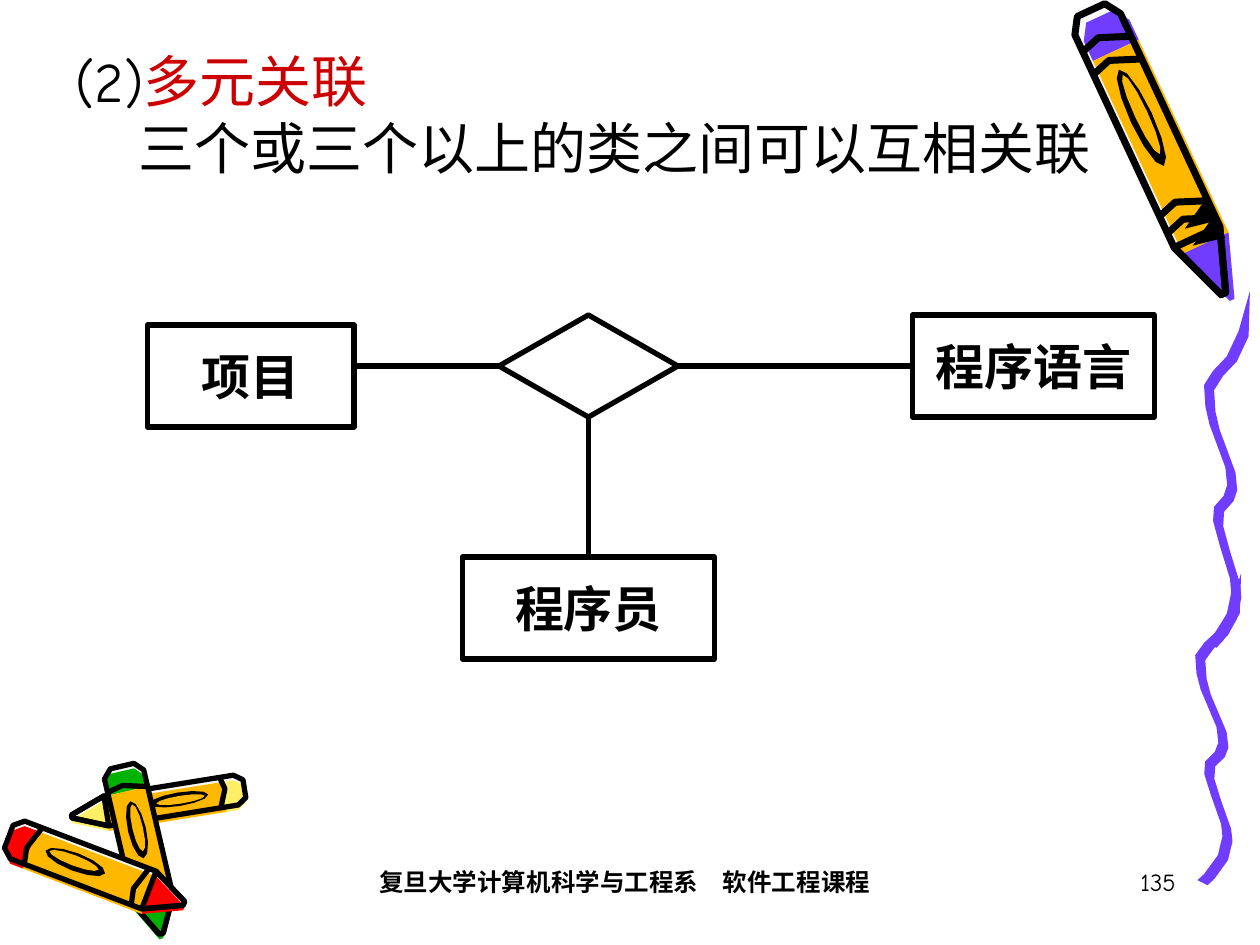
from dataclasses import dataclass
from math import cos, hypot, pi, sin
from typing import NamedTuple

from lxml.etree import SubElement
from pptx import Presentation
from pptx.dml.color import RGBColor
from pptx.enum.shapes import MSO_CONNECTOR as Connector, MSO_SHAPE as Shape
from pptx.enum.text import MSO_ANCHOR as Anchor, PP_ALIGN as Align
from pptx.oxml.ns import qn
from pptx.util import Cm, Pt

COLORS = {
    "black": "000000", "title": "CC0000", "purple": "703DFF", "amber": "FFB800",
    "paper": "F8F8F8", "lemon": "FFEF66", "red": "FF0000", "green": "00B200",
}
TOP, LEFT, BOTTOM, RIGHT = range(4)

# Crayon proportions: along runs from tail (0) to tip (1), across from -1 to 1
CAP_END, SHOULDER = 0.12, 0.8
TAIL = [(0.05, 1), (0, 0.6), (0, -0.6), (0.05, -1)]
CONE = [(SHOULDER, -1), (1, -0.1), (1, 0.1), (SHOULDER, 1)]
CAP = TAIL + [(CAP_END, -1), (CAP_END, 1)]
BARREL = [(CAP_END, 1), (CAP_END, -1), (SHOULDER, -1), (SHOULDER, 1)]

# Centre of a hanging scribble, as fractions of its width and height
SCRIBBLE_CENTER = [
    (0.86, 0.12), (0.6, 0.19), (0.3, 0.23), (0.1, 0.27), (0.13, 0.33), (0.22, 0.38),
    (0.57, 0.5), (0.61, 0.55), (0.53, 0.58), (0.32, 0.61), (0.3, 0.65), (0.45, 0.72),
    (0.67, 0.81), (0.7, 0.85), (0.6, 0.91), (0.3, 0.97), (0.15, 0.99),
]
NIB = (0.04, 0.02)  # half of the slanted pen nib, in inches


class Point(NamedTuple):
    x: float
    y: float


class Span(NamedTuple):
    text: str
    color: str = "black"


@dataclass
class Crayon:
    tail: Point
    tip: Point
    half_width: float
    color: str
    bands: tuple = (0.13, 0.74)
    wedges: tuple = ()
    shift: Point = Point(0, 0.04)  # colour is printed beside the ink
    ink: float = 3

    def place(self, outline: list, shift: Point = Point(0, 0)) -> list[Point]:
        """Turn (along, across) pairs into positions on the page."""
        run, rise = self.tip.x - self.tail.x, self.tip.y - self.tail.y
        side = self.half_width / hypot(run, rise)
        return [Point(self.tail.x + along * run + across * side * rise + shift.x,
                      self.tail.y + along * rise - across * side * run + shift.y)
                for along, across in outline]


@dataclass
class Scribble:
    left: float
    top: float
    width: float
    height: float


@dataclass
class Node:
    kind: Shape
    left: float
    top: float
    width: float
    height: float = 0.81
    label: str = ""


CRAYONS = [
    Crayon(Point(1.94, 6.26), Point(0.57, 6.48), 0.12, "lemon"),
    Crayon(Point(0.97, 6.08), Point(1.28, 7.41), 0.16, "green"),
    Crayon(Point(0.07, 6.64), Point(1.46, 7.17), 0.16, "red"),
    Crayon(Point(8.66, 0.08), Point(9.71, 2.33), 0.2, "purple", bands=(0.11, 0.19, 0.69, 0.75),
           wedges=(0.7, 0.76), shift=Point(0.07, 0.05), ink=4),
]
SCRIBBLES = [Scribble(9.49, 4.55, 0.36, 2.48), Scribble(9.56, 2.31, 0.36, 2.84)]


def inch(value: float) -> Cm:
    return Cm(value * 2.54)


def rgb(name: str) -> RGBColor:
    return RGBColor.from_string(COLORS[name])


def ink_line(line, width: float) -> None:
    line.color.rgb = rgb("black")
    line.width = Pt(width)


def draw_outline(shapes, points: list[Point], fill: str = "", ink: float = 0, closed: bool = True):
    corners = [(inch(x), inch(y)) for x, y in points]
    builder = shapes.build_freeform(*corners[0])
    builder.add_line_segments(corners[1:], close=closed)
    outline = builder.convert_to_shape()
    outline.shadow.inherit = False
    if fill:
        outline.fill.solid()
        outline.fill.fore_color.rgb = rgb(fill)
    else:
        outline.fill.background()
    if ink:
        ink_line(outline.line, ink)
    else:
        outline.line.fill.background()


def ellipse(along: float, across: float, half_length: float, half_width: float) -> list:
    angles = [step * pi / 6 for step in range(12)]
    return [(along + half_length * cos(a), across + half_width * sin(a)) for a in angles]


def draw_crayon(shapes, crayon: Crayon) -> None:
    parts = shapes.add_group_shape().shapes
    # Colours, slightly beside the ink
    draw_outline(parts, crayon.place(TAIL + CONE), "paper")
    for outline, color in ((CAP, crayon.color), (BARREL, "amber"), (CONE, crayon.color)):
        draw_outline(parts, crayon.place(outline, crayon.shift), color)
    # Label: a ring that is thicker on one side
    draw_outline(parts, crayon.place(ellipse(0.38, 0, 0.17, 0.45)), "black")
    draw_outline(parts, crayon.place(ellipse(0.37, 0.05, 0.14, 0.26)), "amber")
    # Ink
    for along in crayon.bands:
        band = [(along, -1), (along - 0.02, -0.2), (along + 0.02, 1)]
        draw_outline(parts, crayon.place(band), ink=crayon.ink, closed=False)
    for along in crayon.wedges:
        wedge = [(along, 1), (along + 0.06, -0.3), (along + 0.08, 1)]
        draw_outline(parts, crayon.place(wedge), "black")
    draw_outline(parts, crayon.place(CONE), ink=crayon.ink)
    draw_outline(parts, crayon.place(TAIL + CONE), ink=crayon.ink)


def draw_scribble(shapes, scribble: Scribble) -> None:
    center = [Point(scribble.left + x * scribble.width, scribble.top + y * scribble.height)
              for x, y in SCRIBBLE_CENTER]
    near, far = ([Point(x + side * NIB[0], y + side * NIB[1]) for x, y in center]
                 for side in (-1, 1))
    start = Point(scribble.left + scribble.width, scribble.top)
    draw_outline(shapes, [start] + near + far[::-1], "purple")


def draw_line(shapes, start: Point, end: Point):
    line = shapes.add_connector(Connector.STRAIGHT, *map(inch, start + end))
    ink_line(line.line, 3)
    SubElement(line._element.spPr, qn("a:effectLst"))
    return line


def add_spans(para, spans: list[Span], font_format: dict) -> None:
    for span in spans:
        run = para.add_run()
        run.text = span.text
        run.font.color.rgb = rgb(span.color)
        for name, value in font_format.items():
            setattr(run.font, name, value)


def draw_node(shapes, node: Node):
    box = shapes.add_shape(node.kind, *map(inch, (node.left, node.top, node.width, node.height)))
    box.shadow.inherit = False
    box.fill.background()
    ink_line(box.line, 3)
    if node.label:
        box.text_frame.vertical_anchor = Anchor.MIDDLE
        para = box.text_frame.paragraphs[0]
        para.alignment = Align.CENTER
        label_font = {"name": "Times New Roman", "size": Pt(28), "bold": True}
        add_spans(para, [Span(node.label)], label_font)
    return box


def add_text_box(shapes, left: float, top: float, width: float, height: float):
    frame = shapes.add_textbox(*map(inch, (left, top, width, height))).text_frame
    frame.word_wrap = True
    return frame


def draw_footer(shapes, left: float, width: float, text: str, align: Align, bold: bool) -> None:
    para = add_text_box(shapes, left, 6.83, width, 0.5).paragraphs[0]
    para.alignment = align
    add_spans(para, [Span(text)], {"name": "Comic Neue", "size": Pt(14), "bold": bold})


def draw_heading(shapes) -> None:
    frame = add_text_box(shapes, 0.5, 0.42, 9.17, 1.17)
    heading, detail = frame.paragraphs[0], frame.add_paragraph()
    detail._p.get_or_add_pPr().set("marL", str(inch(0.5)))
    detail.space_before = Pt(8)
    body_font = {"name": "Comic Neue", "size": Pt(32)}
    lines = ((heading, [Span("(2)"), Span("多元关联", "title")]),
             (detail, [Span("三个或三个以上的类之间可以互相关联")]))
    for para, spans in lines:
        para.line_spacing = 0.8
        add_spans(para, spans, body_font)


def draw_association(shapes) -> None:
    hub = Node(Shape.FLOWCHART_DECISION, 3.96, 2.5, 1.42)
    middle = Point(hub.left + hub.width / 2, hub.top + hub.height / 2)
    diamond = draw_node(shapes, hub)
    draw_node(shapes, Node(Shape.RECTANGLE, 1.17, 2.58, 1.64, label="项目"))
    language = draw_node(shapes, Node(Shape.RECTANGLE, 7.24, 2.5, 1.92, label="程序语言"))
    programmer = draw_node(shapes, Node(Shape.RECTANGLE, 3.67, 4.42, 2, label="程序员"))

    # The project box sits lower, so its line ends beside the middle of its side
    project_line = draw_line(shapes, middle, Point(2.83, middle.y))
    project_line.begin_connect(diamond, LEFT)
    for box, hub_side, box_side in ((language, RIGHT, LEFT), (programmer, BOTTOM, TOP)):
        line = draw_line(shapes, middle, middle)
        line.begin_connect(diamond, hub_side)
        line.end_connect(box, box_side)


def main() -> None:
    deck = Presentation()
    deck.slide_width, deck.slide_height = inch(10), inch(7.5)
    shapes = deck.slides.add_slide(deck.slide_layouts[6]).shapes

    # Decoration
    for crayon in CRAYONS:
        draw_crayon(shapes, crayon)
    for scribble in SCRIBBLES:
        draw_scribble(shapes, scribble)

    # Content
    draw_heading(shapes)
    draw_association(shapes)

    # Footer and page number
    draw_footer(shapes, 2, 5.92, "复旦大学计算机科学与工程系　软件工程课程", Align.CENTER, True)
    draw_footer(shapes, 7.35, 2.08, "135", Align.RIGHT, False)
    deck.save("out.pptx")


if __name__ == "__main__":
    main()
